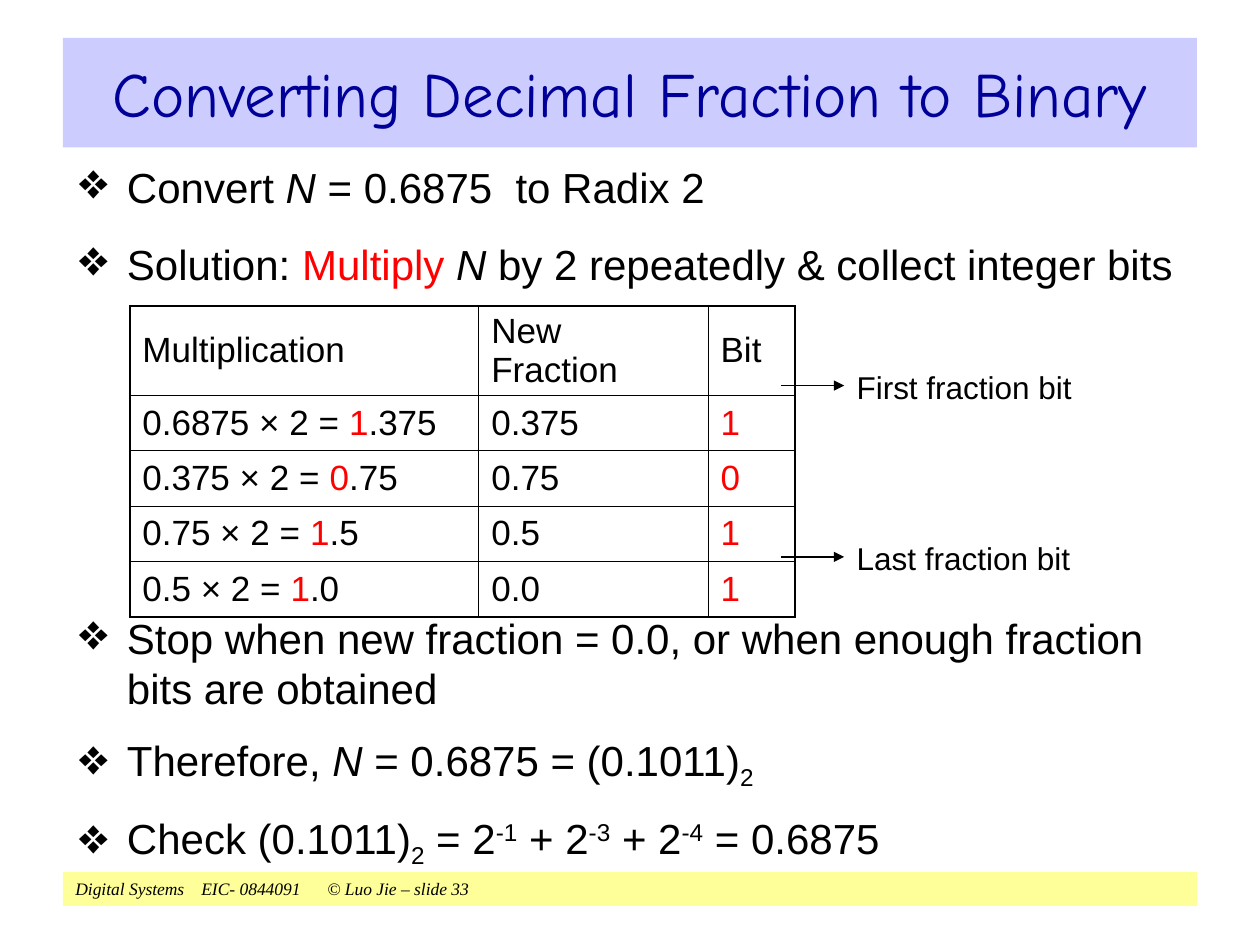
import dataclasses
import typing

import lxml.etree
import pptx
import pptx.dml.color
import pptx.enum.shapes
import pptx.enum.text
import pptx.oxml.ns
import pptx.util

Inches = pptx.util.Inches
Pt = pptx.util.Pt
qn = pptx.oxml.ns.qn


@dataclasses.dataclass(frozen=True)
class Theme:
    black: str = "000000"
    red: str = "FF0000"
    navy: str = "000099"
    lavender: str = "CCCCFF"
    yellow: str = "FFFF99"
    sans: str = "Arial"
    title_font: str = "Comic Neue"
    footer_font: str = "Times New Roman"
    title_size: float = 36
    body_size: float = 24
    table_size: float = 20
    label_size: float = 18
    footer_size: float = 10
    thin: float = 0.45
    thick: float = 1.08


THEME = Theme()


class Run(typing.NamedTuple):
    text: str
    color: str = THEME.black
    italic: bool = False
    baseline: int = 0


class Bullet(typing.NamedTuple):
    runs: list[Run]
    before: float = 12


class Area(typing.NamedTuple):
    left: float
    top: float
    width: float
    height: float

    def lengths(self) -> list[int]:
        return [Inches(value) for value in self]


class Callout(typing.NamedTuple):
    text: str
    y: float


class Step(typing.NamedTuple):
    factor: str
    bit: str
    fraction: str


N = Run("N", italic=True)
SUB_TWO = Run("2", baseline=-25000)


def power(exponent: int) -> list[Run]:
    return [Run("2"), Run(str(exponent), baseline=30000)]


TASK = [
    Bullet([Run("Convert "), N, Run(" = 0.6875  to Radix 2")]),
    Bullet([Run("Solution: "), Run("Multiply ", THEME.red), N,
            Run(" by 2 repeatedly & collect integer bits")], 15.5),
]
RESULT = [
    Bullet([Run("Stop when new fraction = 0.0, or when enough fraction bits are obtained")]),
    Bullet([Run("Therefore, "), N, Run(" = 0.6875 = (0.1011)"), SUB_TWO]),
    Bullet([Run("Check (0.1011)"), SUB_TWO, Run(" = "), *power(-1), Run(" + "),
            *power(-3), Run(" + "), *power(-4), Run(" = 0.6875")]),
]
HEADINGS = ["Multiplication", "New Fraction", "Bit"]
STEPS = [
    Step("0.6875", "1", ".375"),
    Step("0.375", "0", ".75"),
    Step("0.75", "1", ".5"),
    Step("0.5", "1", ".0"),
]
COLUMN_WIDTHS = [2.77, 1.82, 0.69]
ROW_HEIGHT = 0.44
CALLOUTS = [Callout("First fraction bit", 3.06), Callout("Last fraction bit", 4.42)]


def rgb(color: str) -> pptx.dml.color.RGBColor:
    return pptx.dml.color.RGBColor.from_string(color)


def write_runs(para, runs: list[Run], size: float, font: str = THEME.sans) -> None:
    for run in runs:
        span = para.add_run()
        span.text = run.text
        formats = {"name": font, "size": Pt(size), "italic": run.italic}
        for name, value in formats.items():
            setattr(span.font, name, value)
        span.font.color.rgb = rgb(run.color)
        if run.baseline:
            span.font._element.set("baseline", str(run.baseline))


def add_band(page, area: Area, fill: str, side_margin: float):
    band = page.shapes.add_shape(pptx.enum.shapes.MSO_SHAPE.RECTANGLE, *area.lengths())
    band.shadow.inherit = False
    band.fill.solid()
    band.fill.fore_color.rgb = rgb(fill)
    band.line.fill.background()
    formats = {"margin_left": Inches(side_margin), "margin_right": Inches(side_margin),
               "word_wrap": True, "vertical_anchor": pptx.enum.text.MSO_ANCHOR.MIDDLE}
    for name, value in formats.items():
        setattr(band.text_frame, name, value)
    return band.text_frame.paragraphs[0]


def add_text_box(page, area: Area):
    box = page.shapes.add_textbox(*area.lengths())
    box.text_frame.word_wrap = True
    return box.text_frame


def add_tabs(para, positions: list[float]) -> None:
    tabs = lxml.etree.SubElement(para._p.get_or_add_pPr(), qn("a:tabLst"))
    for position in positions:
        lxml.etree.SubElement(tabs, qn("a:tab"), pos=str(Inches(position)), algn="l")


def add_bullets(page, area: Area, bullets: list[Bullet]) -> None:
    frame = add_text_box(page, area)
    for index, bullet in enumerate(bullets):
        para = frame.add_paragraph() if index else frame.paragraphs[0]
        para.space_before = Pt(bullet.before)
        properties = para._p.get_or_add_pPr()
        properties.set("marL", str(Inches(0.38)))
        properties.set("indent", str(Inches(-0.38)))
        lxml.etree.SubElement(properties, qn("a:buSzPct"), val="120000")
        lxml.etree.SubElement(properties, qn("a:buChar"), char="❖")
        write_runs(para, bullet.runs, THEME.body_size)


def set_borders(cell, widths: dict[str, float]) -> None:
    properties = cell._tc.get_or_add_tcPr()
    for index, (side, width) in enumerate(widths.items()):
        line = lxml.etree.Element(qn(f"a:{side}"), w=str(Pt(width)))
        fill = lxml.etree.SubElement(line, qn("a:solidFill"))
        lxml.etree.SubElement(fill, qn("a:srgbClr"), val=THEME.black)
        properties.insert(index, line)


def add_steps_table(page, left: float, top: float) -> None:
    rows = [[[Run(heading)] for heading in HEADINGS]]
    for step in STEPS:
        rows.append([
            [Run(f"{step.factor} × 2 = "), Run(step.bit, THEME.red), Run(step.fraction)],
            [Run(f"0{step.fraction}")],
            [Run(step.bit, THEME.red)],
        ])
    area = Area(left, top, sum(COLUMN_WIDTHS), ROW_HEIGHT * len(rows))
    table = page.shapes.add_table(len(rows), len(HEADINGS), *area.lengths()).table
    table.first_row = table.horz_banding = False
    for column, width in zip(table.columns, COLUMN_WIDTHS):
        column.width = Inches(width)
    last_row, last_column = len(rows) - 1, len(HEADINGS) - 1
    formats = {"vertical_anchor": pptx.enum.text.MSO_ANCHOR.MIDDLE,
               "margin_top": Inches(0.02), "margin_bottom": Inches(0.02)}
    for i, row in enumerate(rows):
        table.rows[i].height = Inches(ROW_HEIGHT)
        for j, runs in enumerate(row):
            cell = table.cell(i, j)
            for name, value in formats.items():
                setattr(cell, name, value)
            cell.fill.background()
            write_runs(cell.text_frame.paragraphs[0], runs, THEME.table_size)
            outer = {"lnL": j == 0, "lnR": j == last_column,
                     "lnT": i == 0, "lnB": i == last_row}
            set_borders(cell, {side: THEME.thick if edge else THEME.thin
                               for side, edge in outer.items()})


def add_callout(page, callout: Callout) -> None:
    y = Inches(callout.y)
    arrow = page.shapes.add_connector(
        pptx.enum.shapes.MSO_CONNECTOR.STRAIGHT, Inches(6.2), y, Inches(6.7), y)
    arrow.line.color.rgb = rgb(THEME.black)
    arrow.line.width = Pt(0.75)
    lxml.etree.SubElement(arrow.line._get_or_add_ln(), qn("a:tailEnd"), type="triangle")
    lxml.etree.SubElement(arrow._element.spPr, qn("a:effectLst"))
    frame = add_text_box(page, Area(6.7, callout.y - 0.19, 2.02, 0.4))
    write_runs(frame.paragraphs[0], [Run(callout.text)], THEME.label_size)


def main() -> None:
    deck = pptx.Presentation()
    deck.slide_width, deck.slide_height = Inches(10), Inches(7.5)
    page = deck.slides.add_slide(deck.slide_layouts[6])

    footer = add_band(page, Area(0.5, 6.92, 9, 0.27), THEME.yellow, 0.1)
    footer.alignment = pptx.enum.text.PP_ALIGN.LEFT
    add_tabs(footer, [1, 2])
    footer_text = "Digital Systems\tEIC- 0844091\t© Luo Jie – slide 33"
    write_runs(footer, [Run(footer_text, italic=True)], THEME.footer_size, THEME.footer_font)

    title = add_band(page, Area(0.5, 0.3, 9, 0.87), THEME.lavender, 0)
    title.alignment = pptx.enum.text.PP_ALIGN.CENTER
    write_runs(title, [Run("Converting Decimal Fraction to Binary", THEME.navy)],
               THEME.title_size, THEME.title_font)

    add_bullets(page, Area(0.53, 1.23, 9, 1.15), TASK)
    add_bullets(page, Area(0.53, 4.81, 9, 2.05), RESULT)
    add_steps_table(page, 1.03, 2.43)
    for callout in CALLOUTS:
        add_callout(page, callout)
    deck.save("out.pptx")


if __name__ == "__main__":
    main()
